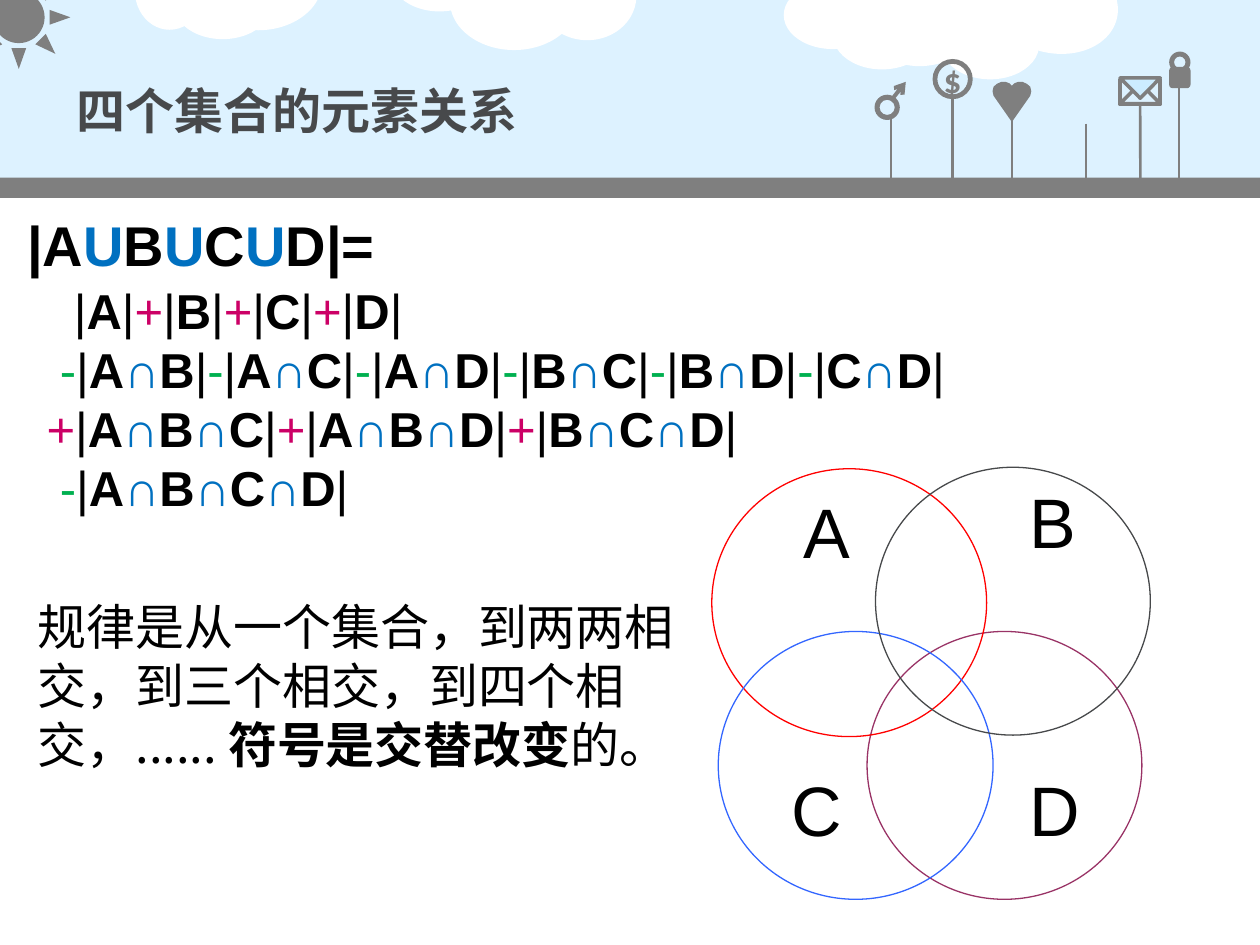
"""Build a slide on the inclusion-exclusion formula for four sets."""
from itertools import groupby

from lxml.etree import SubElement
from pptx import Presentation
from pptx.dml.color import RGBColor
from pptx.enum.shapes import MSO_CONNECTOR, MSO_SHAPE
from pptx.enum.text import MSO_ANCHOR, PP_ALIGN
from pptx.oxml.ns import qn
from pptx.util import Cm, Pt

WHITE = RGBColor(0xFF, 0xFF, 0xFF)
BLACK = RGBColor(0x00, 0x00, 0x00)
SKY = RGBColor(0xDD, 0xF2, 0xFF)
FLAP = RGBColor(0xCC, 0xEC, 0xFF)
GREY = RGBColor(0x7F, 0x7F, 0x7F)
SLATE = RGBColor(0x47, 0x49, 0x4B)
BLUE = RGBColor(0x00, 0x70, 0xC0)
PINK = RGBColor(0xCC, 0x00, 0x66)
GREEN = RGBColor(0x00, 0xB0, 0x50)
RED = RGBColor(0xFF, 0x00, 0x00)
AZURE = RGBColor(0x33, 0x66, 0xFF)
PLUM = RGBColor(0x99, 0x33, 0x66)
SYMBOL_COLOURS = {"U": BLUE, "∩": BLUE, "+": PINK, "-": GREEN}
CHINESE_FONT = "Noto Sans CJK SC"

presentation = Presentation()
presentation.slide_width = Cm(25.4)
presentation.slide_height = Cm(19.05)
slide = presentation.slides.add_slide(presentation.slide_layouts[6])


def add_shape(kind, left, top, width, height, fill=None, line=None, line_width=2, rotation=0):
    shape = slide.shapes.add_shape(kind, Cm(left), Cm(top), Cm(width), Cm(height))
    shape.shadow.inherit = False
    shape.rotation = rotation
    if fill is None:
        shape.fill.background()
    else:
        shape.fill.solid()
        shape.fill.fore_color.rgb = fill
    if line is None:
        shape.line.fill.background()
    else:
        shape.line.color.rgb = line
        shape.line.width = Pt(line_width)
    return shape


def add_text(left, top, width, height, lines, size, font_name, wrap=True):
    box = slide.shapes.add_textbox(Cm(left), Cm(top), Cm(width), Cm(height))
    text_frame = box.text_frame
    text_frame.word_wrap = wrap
    for index, pieces in enumerate(lines):
        paragraph = text_frame.add_paragraph() if index else text_frame.paragraphs[0]
        for text, colour, bold in pieces:
            run = paragraph.add_run()
            run.text = text
            run.font.size = Pt(size)
            run.font.bold = bold
            run.font.color.rgb = colour
            run.font.name = font_name
            SubElement(run.font._element, qn("a:ea")).set("typeface", font_name)
    return text_frame


add_shape(MSO_SHAPE.RECTANGLE, 0, 0, 25.4, 3.76, SKY)
clouds = [
    (2.72, -0.97, 1.4, 1.57, 0),
    (3.51, -0.58, 1.96, 1.37, 0),
    (3.91, -1.37, 2.59, 1.98, 0),
    (7.87, -1.17, 1.98, 1.4, 0),
    (9.07, -0.97, 2.59, 1.98, 0),
    (10.85, -0.97, 1.98, 1.78, 0),
    (16.79, 0, 1.98, 1.4, 0),
    (19.96, -0.91, 2.59, 1.98, 12.7),
    (17.5, -0.71, 2.59, 1.98, 334.2),
    (18.97, 0.2, 1.98, 1.4, 0),
    (15.8, -0.38, 1.98, 1.37, 0),
    (16.59, -0.97, 2.59, 1.98, 12.7),
]
for left, top, width, height, rotation in clouds:
    add_shape(MSO_SHAPE.OVAL, left, top, width, height, WHITE, rotation=rotation)
add_shape(MSO_SHAPE.RECTANGLE, 0, 3.58, 25.4, 0.41, GREY)
add_shape(MSO_SHAPE.SUN, -0.66, -0.69, 2.08, 2.08, GREY)

rings = [(17.63, 1.91, 0.51, 0.2), (23.57, 1.04, 0.43, 0.23), (18.8, 1.19, 0.81, 0.12)]
for left, top, diameter, thickness in rings:
    ring = add_shape(MSO_SHAPE.DONUT, left, top, diameter, diameter, GREY)
    ring.adjustments[0] = thickness
coin_frame = ring.text_frame
coin_frame.text = "$"
coin_frame.word_wrap = False
coin_frame.vertical_anchor = MSO_ANCHOR.MIDDLE
coin_frame.paragraphs[0].alignment = PP_ALIGN.CENTER
coin_font = coin_frame.paragraphs[0].runs[0].font
coin_font.name = "Calibri"
coin_font.size = Pt(20)
coin_font.bold = True
coin_font.color.rgb = GREY

heart_half = [
    (0, 1.73), (0.05, 1.68), (0.13, 1.65), (0.21, 1.65), (0.3, 1.69),
    (0.37, 1.75), (0.39, 1.84), (0.37, 1.93), (0, 2.46),
]
heart_outline = heart_half + [(-x, y) for x, y in reversed(heart_half[1:-1])]
heart_points = [(Cm(20.4 + x), Cm(y)) for x, y in heart_outline]
builder = slide.shapes.build_freeform(*heart_points[0])
builder.add_line_segments(heart_points[1:])
heart = builder.convert_to_shape()
heart.shadow.inherit = False
heart.fill.solid()
heart.fill.fore_color.rgb = GREY
heart.line.fill.background()

envelope = add_shape(MSO_SHAPE.RECTANGLE, 22.58, 1.6, 0.81, 0.51, line=GREY)
add_shape(MSO_SHAPE.ISOSCELES_TRIANGLE, 22.58, 1.68, 0.81, 0.41, line=GREY)
add_shape(MSO_SHAPE.ISOSCELES_TRIANGLE, 22.58, 1.57, 0.81, 0.41, FLAP, GREY, rotation=180)
add_shape(MSO_SHAPE.FLOWCHART_ALTERNATE_PROCESS, 23.57, 1.35, 0.43, 0.43, GREY)

stems = [
    (17.96, 2.36, 17.96, 3.63, 1.5, None),
    (19.2, 1.98, 19.2, 3.76, 1.5, None),
    (20.4, 1.85, 20.4, 3.76, 1.5, None),
    (21.89, 2.49, 21.89, 3.76, 1.5, None),
    (22.99, 2.11, 22.99, 3.76, 1.5, envelope),
    (23.77, 1.6, 23.77, 3.78, 1.5, None),
    (17.96, 2.03, 18.26, 1.65, 2.25, None),
]
for start_x, start_y, end_x, end_y, line_width, top_shape in stems:
    connector = slide.shapes.add_connector(
        MSO_CONNECTOR.STRAIGHT, Cm(start_x), Cm(start_y), Cm(end_x), Cm(end_y)
    )
    connector.line.color.rgb = GREY
    connector.line.width = Pt(line_width)
    if top_shape is not None:
        connector.begin_connect(top_shape, 2)
    if end_x != start_x:
        SubElement(connector.line._get_or_add_ln(), qn("a:tailEnd")).set("type", "arrow")
    SubElement(connector._element.spPr, qn("a:effectLst"))

title_frame = add_text(
    1.3, 1.12, 22.86, 2.21, [[("四个集合的元素关系", SLATE, True)]], 28, CHINESE_FONT
)
title_frame.vertical_anchor = MSO_ANCHOR.MIDDLE

headline = [(symbol, SYMBOL_COLOURS.get(symbol, BLACK), True) for symbol in "|AUBUCUD|="]
add_text(0.3, 4.11, 8.99, 1.63, [headline], 32, "Arial")

formula = [
    ("|A|+|B|+|C|+|D|", 0.55),
    ("-|A∩B|-|A∩C|-|A∩D|-|B∩C|-|B∩D|-|C∩D|", 0.27),
    ("+|A∩B∩C|+|A∩B∩D|+|B∩C∩D|", 0),
    ("-|A∩B∩C∩D|", 0.27),
]
formula_lines = []
for terms, indent in formula:
    groups = groupby(terms, lambda symbol: (SYMBOL_COLOURS.get(symbol, BLACK), symbol.isalpha()))
    formula_lines.append([("".join(symbols), *style) for style, symbols in groups])
formula_frame = add_text(0.69, 5.54, 23.22, 5, formula_lines, 28, "Arial")
for paragraph, (terms, indent) in zip(formula_frame.paragraphs, formula):
    paragraph._p.get_or_add_pPr().set("marL", str(Cm(indent)))

circles = [
    (17.48, 12.73, PLUM),
    (14.35, 9.45, RED),
    (14.48, 12.73, AZURE),
    (17.65, 9.42, SLATE),
]
for left, top, colour in circles:
    add_shape(MSO_SHAPE.OVAL, left, top, 5.54, 5.4, line=colour, line_width=0.75)

rule = [
    ("规律是从一个集合，到两两相交，到三个相交，到四个相交，...... ", BLACK, False),
    ("符号是交替改变", BLACK, True),
    ("的。", BLACK, False),
]
add_text(0.51, 11.91, 13.54, 3.81, [rule], 28, CHINESE_FONT)

set_labels = [("A", 15.95, 9.73), ("B", 20.5, 9.53), ("C", 15.7, 15.32), ("D", 20.5, 15.32)]
for name, left, top in set_labels:
    add_text(left, top, 1.5, 1.96, [[(name, BLACK, False)]], 40, "Arial", wrap=False)

presentation.save("out.pptx")
